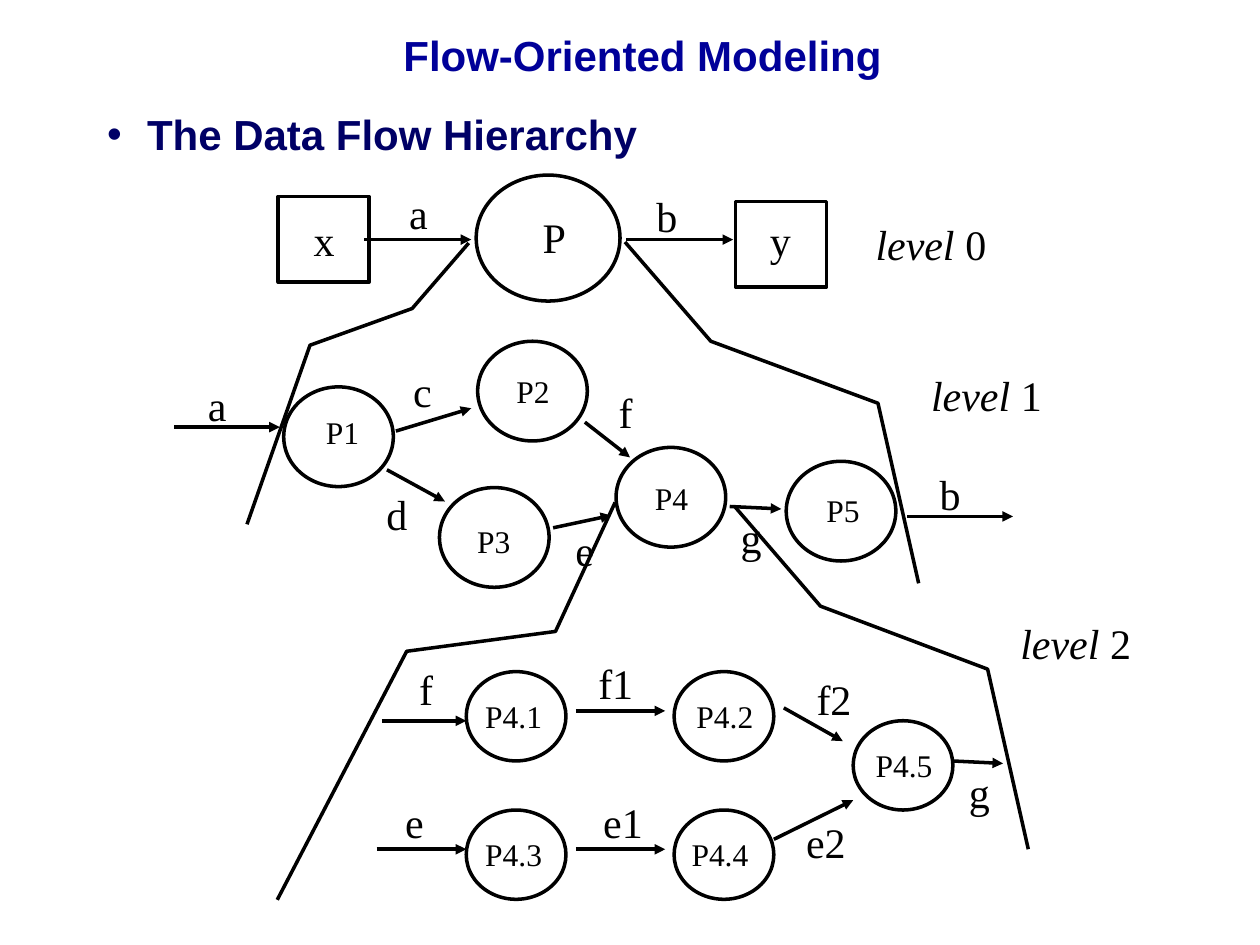
"""Build the slide that shows the data flow hierarchy on three levels."""
import pptx
import pptx.dml.color
import pptx.enum.shapes
import pptx.enum.text
import pptx.oxml
import pptx.oxml.ns
import pptx.util

Cm = pptx.util.Cm
Pt = pptx.util.Pt
SHAPE = pptx.enum.shapes.MSO_SHAPE
COLORS = {"ink": "000000", "title": "000099", "heading": "000066"}
SERIF, SANS = "Times New Roman", "Arial"
ADVANCES = {"a": 0.44, "c": 0.44, "e": 0.44, "v": 0.44, "f": 0.33, "l": 0.28,
            "P": 0.56, ".": 0.25, " ": 0.25}

LEVELS = [
    {
        "name": ("0", 17.4, 4.29),
        "entities": [("x", 5.61, 3.96, 6.07, 4.19), ("y", 14.83, 4.06, 15.27, 4.19)],
        "process_size": (2.9, 2.54, 24),
        "processes": [("P", 9.6, 3.53, 10.69, 4.14)],
        "flows": [
            ("a", 8, 3.66, (7.34, 4.83), (9.5, 4.83)),
            ("b", 12.98, 3.71, (12.62, 4.83), (14.78, 4.83)),
        ],
        "boundaries": [],
    },
    {
        "name": ("1", 18.52, 7.32),
        "entities": [],
        "process_size": (2.21, 2.01, 18),
        "processes": [
            ("P1", 5.72, 7.8, 6.32, 8.2),
            ("P2", 9.63, 6.88, 10.16, 7.37),
            ("P3", 8.86, 9.83, 9.37, 10.39),
            ("P4", 12.42, 9.02, 12.95, 9.53),
            ("P5", 15.85, 9.3, 16.41, 9.78),
        ],
        "flows": [
            ("a", 3.94, 7.52, (3.51, 8.61), (5.64, 8.61)),
            ("b", 18.69, 9.32, (18.29, 10.41), (20.42, 10.41)),
            ("c", 8.08, 7.24, (7.98, 8.69), (9.5, 8.23)),
            ("d", 7.54, 9.73, (7.8, 9.47), (8.97, 10.11)),
            ("e", 11.35, 10.44, (11.15, 10.64), (12.32, 10.39)),
            ("f", 12.22, 7.67, (11.79, 8.51), (12.7, 9.22)),
            ("g", 14.68, 10.19, (14.71, 10.21), (15.75, 10.26)),
        ],
        "boundaries": [
            [(9.45, 4.9), (8.31, 6.22), (6.25, 6.96), (4.98, 10.57)],
            [(12.6, 4.88), (14.33, 6.88), (17.7, 8.13), (18.52, 11.76)],
        ],
    },
    {
        "name": ("2", 20.32, 12.32),
        "entities": [],
        "process_size": (2.01, 1.8, 18),
        "processes": [
            ("P4.1", 9.4, 13.54, 9.53, 13.92),
            ("P4.2", 13.59, 13.54, 13.79, 13.92),
            ("P4.3", 9.4, 16.33, 9.53, 16.71),
            ("P4.4", 13.59, 16.33, 13.69, 16.71),
            ("P4.5", 17.2, 14.53, 17.4, 14.91),
        ],
        "flows": [
            ("f", 8.2, 13.26, (7.7, 14.53), (9.4, 14.53)),
            ("f1", 11.81, 13.13, (11.61, 14.33), (13.41, 14.33)),
            ("f2", 16.21, 13.46, (15.8, 14.27), (16.99, 14.94)),
            ("e", 7.92, 15.93, (7.59, 17.12), (9.4, 17.12)),
            ("e1", 11.91, 15.93, (11.61, 17.12), (13.41, 17.12)),
            ("e2", 16, 16.33, (15.6, 16.92), (17.2, 16.13)),
            ("g", 19.28, 15.32, (19.2, 15.34), (20.22, 15.39)),
        ],
        "boundaries": [
            [(14.81, 10.21), (16.54, 12.22), (19.91, 13.49), (20.73, 17.12)],
            [(5.59, 18.14), (8.2, 13.13), (11.2, 12.73), (12.4, 10.13)],
        ],
    },
]


def rgb(name):
    """Return the named colour."""
    return pptx.dml.color.RGBColor.from_string(COLORS[name])


def style_line(shape):
    """Give a shape or connector the diagram's line."""
    shape.line.color.rgb = rgb("ink")
    shape.line.width = Pt(2)


def add_run(paragraph, text, size=24, font=SERIF, color="ink", bold=False, italic=False):
    """Add one formatted run to a paragraph."""
    run = paragraph.add_run()
    run.text = text
    run.font.size = Pt(size)
    run.font.name = font
    run.font.color.rgb = rgb(color)
    run.font.bold = bold
    run.font.italic = italic


def add_label(shapes, left, top, text, size=24, italic_start=""):
    """Add a one-line label as wide as its letters."""
    width = 0.51 + sum(ADVANCES.get(c, 0.5) for c in italic_start + text) * size / 28.35
    height = 1.27 if size == 24 else 1.02
    box = shapes.add_textbox(Cm(left), Cm(top), Cm(width), Cm(height))
    frame = box.text_frame
    frame.word_wrap = False
    frame.auto_size = pptx.enum.text.MSO_AUTO_SIZE.SHAPE_TO_FIT_TEXT
    paragraph = frame.paragraphs[0]
    if italic_start:
        add_run(paragraph, italic_start, size, italic=True)
    add_run(paragraph, text, size)


def add_node(shapes, kind, place, width, height, size):
    """Add an outlined node with its label."""
    text, left, top, label_left, label_top = place
    shape = shapes.add_shape(kind, Cm(left), Cm(top), Cm(width), Cm(height))
    shape.shadow.inherit = False
    shape.fill.background()
    style_line(shape)
    add_label(shapes, label_left, label_top, text, size)


def add_flow(shapes, text, left, top, start, end):
    """Add a data flow arrow with its label."""
    connector = shapes.add_connector(
        pptx.enum.shapes.MSO_CONNECTOR.STRAIGHT, *(Cm(v) for v in start + end))
    style_line(connector)
    head = pptx.oxml.parse_xml(
        f'<a:tailEnd {pptx.oxml.ns.nsdecls("a")} type="triangle"/>')
    connector.line._get_or_add_ln().append(head)
    effects = pptx.oxml.parse_xml(f'<a:effectLst {pptx.oxml.ns.nsdecls("a")}/>')
    connector._element.spPr.append(effects)
    add_label(shapes, left, top, text)


def add_boundary(shapes, points):
    """Add an open outline through the points."""
    corners = [(Cm(x), Cm(y)) for x, y in points]
    builder = shapes.build_freeform(*corners[0])
    builder.add_line_segments(corners[1:], close=False)
    shape = builder.convert_to_shape()
    shape.shadow.inherit = False
    shape.fill.background()
    style_line(shape)


def add_level(slide, level):
    """Add one level of the hierarchy as a group."""
    shapes = slide.shapes.add_group_shape().shapes
    for place in level["entities"]:
        add_node(shapes, SHAPE.RECTANGLE, place, 1.83, 1.73, 24)
    for place in level["processes"]:
        add_node(shapes, SHAPE.OVAL, place, *level["process_size"])
    for flow in level["flows"]:
        add_flow(shapes, *flow)
    for points in level["boundaries"]:
        add_boundary(shapes, points)
    number, left, top = level["name"]
    add_label(shapes, left, top, number, italic_start="level ")


def add_title(slide):
    """Add the centred slide title."""
    frame = slide.shapes.add_textbox(Cm(4.7), Cm(0.13), Cm(16.51), Cm(1.93)).text_frame
    frame.word_wrap = True
    frame.vertical_anchor = pptx.enum.text.MSO_ANCHOR.MIDDLE
    paragraph = frame.paragraphs[0]
    paragraph.alignment = pptx.enum.text.PP_ALIGN.CENTER
    add_run(paragraph, "Flow-Oriented Modeling", font=SANS, color="title", bold=True)


def add_heading(slide):
    """Add the bulleted heading."""
    frame = slide.shapes.add_textbox(Cm(1.91), Cm(2.06), Cm(11.99), Cm(1.27)).text_frame
    frame.word_wrap = True
    paragraph = frame.paragraphs[0]
    properties = paragraph._p.get_or_add_pPr()
    properties.set("marL", str(Cm(0.57)))
    properties.set("indent", str(Cm(-0.57)))
    namespace = pptx.oxml.ns.nsdecls("a")
    for xml in (f'<a:buClr {namespace}><a:srgbClr val="{COLORS["heading"]}"/></a:buClr>',
                f'<a:buFont {namespace} typeface="{SANS}"/>',
                f'<a:buChar {namespace} char="•"/>'):
        properties.append(pptx.oxml.parse_xml(xml))
    add_run(paragraph, " The Data Flow Hierarchy", font=SANS, color="heading", bold=True)


def main():
    """Build and save the presentation."""
    presentation = pptx.Presentation()
    presentation.slide_width, presentation.slide_height = Cm(25.4), Cm(19.05)
    slide = presentation.slides.add_slide(presentation.slide_layouts[6])
    for level in LEVELS:
        add_level(slide, level)
    add_title(slide)
    add_heading(slide)
    presentation.save("out.pptx")


if __name__ == "__main__":
    main()
